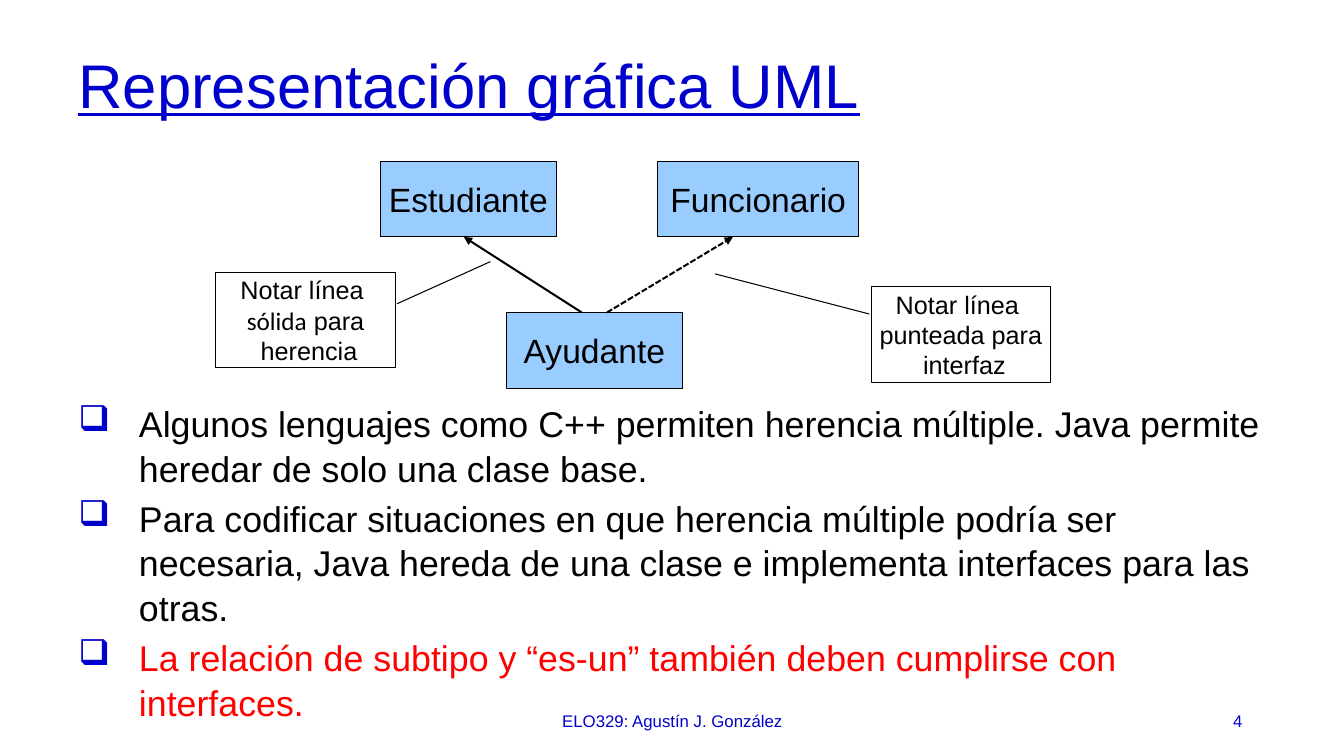
import pptx
import pptx.util
import pptx.dml.color
import pptx.enum.dml
import pptx.enum.shapes
import pptx.enum.text
import pptx.oxml.ns
import lxml.etree

CELL = 0.25
LEFT_EDGE, TOP_EDGE = 0.02, 0.1
BLUE, BLACK, RED, SKY = "0000CC", "000000", "FF0000", "99CCFF"
ALIGN = pptx.enum.text.PP_ALIGN
SHAPE = pptx.enum.shapes.MSO_SHAPE
CLASS_HEIGHT = 3


def color(hex_value):
    return pptx.dml.color.RGBColor.from_string(hex_value)


def span(cells):
    return pptx.util.Inches(round(cells * CELL, 2))


def column(number):
    return pptx.util.Inches(round(LEFT_EDGE + number * CELL, 2))


def row(number):
    return pptx.util.Inches(round(TOP_EDGE + number * CELL, 2))


def place(left, top, width, height):
    return column(left), row(top), span(width), span(height)


def child(parent, tag, **attributes):
    return lxml.etree.SubElement(parent, pptx.oxml.ns.qn(tag), attributes)


def style(paragraph, size, hex_value, align=ALIGN.LEFT):
    paragraph.alignment = align
    paragraph.font.size = pptx.util.Pt(size)
    paragraph.font.name = "Arial"
    paragraph.font.color.rgb = color(hex_value)


def add_text(slide, position, text, size, align=ALIGN.LEFT):
    frame = slide.shapes.add_textbox(*place(*position)).text_frame
    frame.word_wrap = True
    frame.vertical_anchor = pptx.enum.text.MSO_ANCHOR.MIDDLE
    paragraph = frame.paragraphs[0]
    paragraph.text = text
    style(paragraph, size, BLUE, align)
    return paragraph


def add_box(slide, preset, position, text, size):
    box = slide.shapes.add_shape(preset, *place(*position))
    box.shadow.inherit = False
    box.fill.background()
    box.line.color.rgb = color(BLACK)
    box.line.width = pptx.util.Pt(0)
    frame = box.text_frame
    frame.word_wrap = False
    frame.vertical_anchor = pptx.enum.text.MSO_ANCHOR.MIDDLE
    frame.paragraphs[0].text = text
    style(frame.paragraphs[0], size, BLACK, ALIGN.CENTER)
    return box


def add_class(slide, name, left, top, width):
    box = add_box(slide, SHAPE.RECTANGLE, (left, top, width, CLASS_HEIGHT), name, 24)
    box.fill.solid()
    box.fill.fore_color.rgb = color(SKY)


def add_note(slide, left, top, text, pointer):
    note = add_box(slide, SHAPE.LINE_CALLOUT_1, (left, top, 7.12, 3.8), text, 18)
    for index, value in enumerate(pointer):
        note.adjustments[index] = value
    return note.text_frame.paragraphs[0]


def add_arrow(slide, start, end, dotted=False):
    arrow = slide.shapes.add_connector(
        pptx.enum.shapes.MSO_CONNECTOR.STRAIGHT,
        column(start[0]), row(start[1]), column(end[0]), row(end[1]))
    arrow.line.color.rgb = color(BLACK)
    arrow.line.width = pptx.util.Pt(1.45)
    if dotted:
        arrow.line.dash_style = pptx.enum.dml.MSO_LINE.SQUARE_DOT
    child(arrow.line._get_or_add_ln(), "a:tailEnd", type="triangle")
    child(arrow._element.spPr, "a:effectLst")


def add_bullets(slide, position, items):
    frame = slide.shapes.add_textbox(*place(*position)).text_frame
    frame.word_wrap = True
    for index, (text, hex_value) in enumerate(items):
        paragraph = frame.add_paragraph() if index else frame.paragraphs[0]
        paragraph.text = text
        paragraph.line_spacing = 1.04
        if index:
            paragraph.space_before = pptx.util.Pt(4)
        properties = paragraph._p.get_or_add_pPr()
        indent = pptx.util.Inches(0.6)
        properties.set("marL", str(indent))
        properties.set("indent", str(-indent))
        child(child(properties, "a:buClr"), "a:srgbClr", val=BLUE)
        child(properties, "a:buChar", char="❑")
        style(paragraph, 25.5, hex_value)


def main():
    deck = pptx.Presentation()
    deck.slide_width = pptx.util.Inches(13.33)
    deck.slide_height = pptx.util.Inches(7.5)
    slide = deck.slides.add_slide(deck.slide_layouts[6])

    title = add_text(slide, (2.64, 1.2, 48.32, 3.8), "Representación gráfica UML", 44)
    title.line_spacing = 0.9
    title.font.underline = True

    add_bullets(slide, (2.64, 15.28, 48.32, 12.8), [
        ("Algunos lenguajes como C++ permiten herencia múltiple. "
         "Java permite heredar de solo una clase base.", BLACK),
        ("Para codificar situaciones en que herencia múltiple podría ser necesaria, "
         "Java hereda de una clase e implementa interfaces para las otras.", BLACK),
        ("La relación de subtipo y “es-un” también deben cumplirse con interfaces.", RED),
    ])

    parent_row, child_row = 6, 12
    add_class(slide, "Ayudante", 20, child_row, 7)
    add_class(slide, "Estudiante", 15, parent_row, 7)
    add_class(slide, "Funcionario", 26, parent_row, 8)
    parent_base = parent_row + CLASS_HEIGHT
    add_arrow(slide, (23, child_row), (18.32, parent_base))
    add_arrow(slide, (24, child_row), (29, parent_base), dotted=True)

    add_note(slide, 34.48, 10.96, "Notar línea \vpunteada para\v interfaz",
             (0.29, -0.01, -0.13, -0.87))
    inheritance = add_note(slide, 8.48, 10.4, "Notar línea \v", (0.33, 1.01, -0.11, 1.53))
    solid = inheritance.add_run()
    solid.text = "sólida"
    solid.font.name = "Calibri"
    inheritance.add_run().text = " para"
    inheritance.add_line_break()
    inheritance.add_run().text = " herencia"

    add_text(slide, (17.6, 27.4, 18, 1.6), "ELO329: Agustín J. González", 12, ALIGN.CENTER)
    add_text(slide, (37.6, 27.4, 12, 1.6), "4", 12, ALIGN.RIGHT)
    deck.save("out.pptx")


if __name__ == "__main__":
    main()
